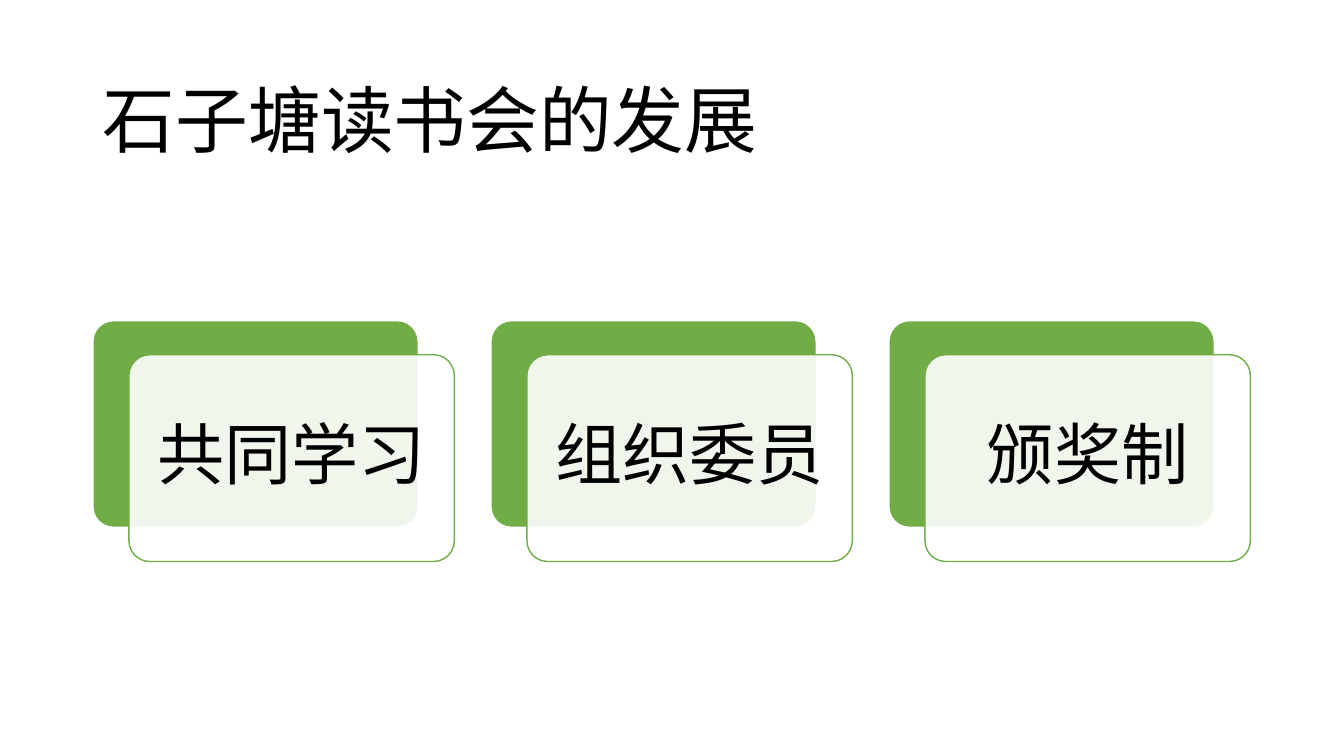
from lxml import etree
from pptx import Presentation
from pptx.dml.color import RGBColor
from pptx.enum.shapes import MSO_SHAPE as Shape
from pptx.enum.text import MSO_ANCHOR as Anchor, MSO_AUTO_SIZE as Fit, PP_ALIGN as Align
from pptx.oxml.ns import qn
from pptx.util import Cm, Pt

GREEN, WHITE, BLACK = "70AD47", "FFFFFF", "000000"
STEPS = ["共同学习", "组织委员", "颁奖制"]
LEFT, TOP, PITCH = 2.34, 8.08, 10.03
WIDTH, HEIGHT = 8.2, 5.21
SHIFT_X, SHIFT_Y = 0.91, 0.86


def color(code):
    return RGBColor.from_string(code)


def write(frame, text, size, align):
    frame.word_wrap = True
    frame.auto_size = Fit.NONE
    frame.vertical_anchor = Anchor.MIDDLE
    frame.text = text
    para = frame.paragraphs[0]
    para.alignment = align
    para.line_spacing = 0.9
    para.font.name = "Calibri"
    para.font.size = Pt(size)
    para.font.color.rgb = color(BLACK)


def add_title(slide, text):
    title = slide.shapes.title
    title.left, title.top = Cm(LEFT), Cm(1.55)
    title.width, title.height = Cm(29.21), Cm(3.15)
    write(title.text_frame, text, 52, Align.LEFT)


def add_card(slide, x, y, fill, line):
    card = slide.shapes.add_shape(
        Shape.ROUNDED_RECTANGLE, Cm(x), Cm(y), Cm(WIDTH), Cm(HEIGHT))
    card.adjustments[0] = 0.1
    card.shadow.inherit = False
    card.fill.solid()
    card.fill.fore_color.rgb = color(fill)
    card.line.color.rgb = color(line)
    card.line.width = Pt(1)
    return card


def set_alpha(shape, percent):
    tone = shape.fill._xPr.find(qn("a:solidFill"))[0]
    etree.SubElement(tone, qn("a:alpha"), val=str(percent * 1000))


def add_step(slide, x, text):
    # Green card behind, translucent card with the label in front
    add_card(slide, x, TOP, GREEN, WHITE)
    front = add_card(slide, x + SHIFT_X, TOP + SHIFT_Y, WHITE, GREEN)
    set_alpha(front, 90)
    frame = front.text_frame
    frame.margin_left = frame.margin_right = Cm(0.5)
    frame.margin_top = frame.margin_bottom = Cm(0.5)
    write(frame, text, 48, Align.CENTER)


def main():
    deck = Presentation()
    deck.slide_width, deck.slide_height = Cm(33.87), Cm(19.05)
    slide = deck.slides.add_slide(deck.slide_layouts[5])

    # Title
    add_title(slide, "石子塘读书会的发展")

    # Row of steps
    for i, text in enumerate(STEPS):
        add_step(slide, LEFT + i * PITCH, text)

    deck.save("out.pptx")


if __name__ == "__main__":
    main()
